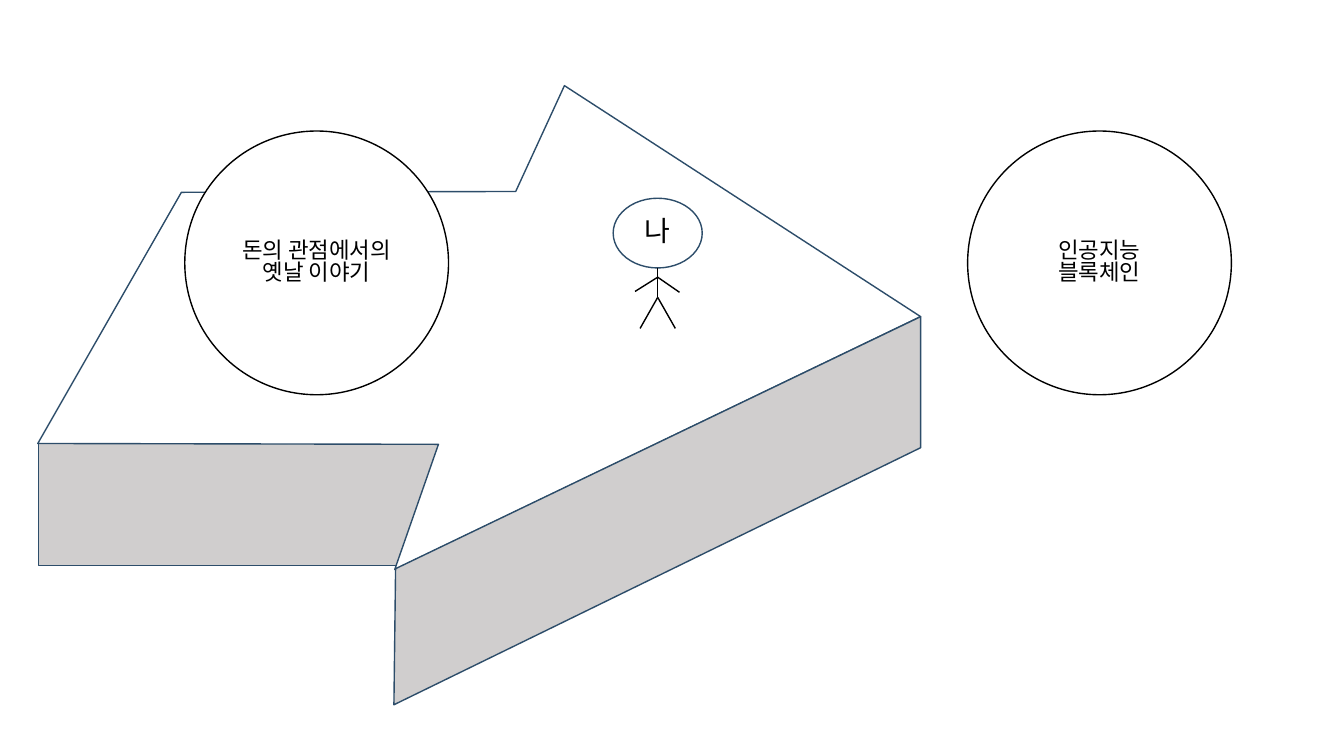
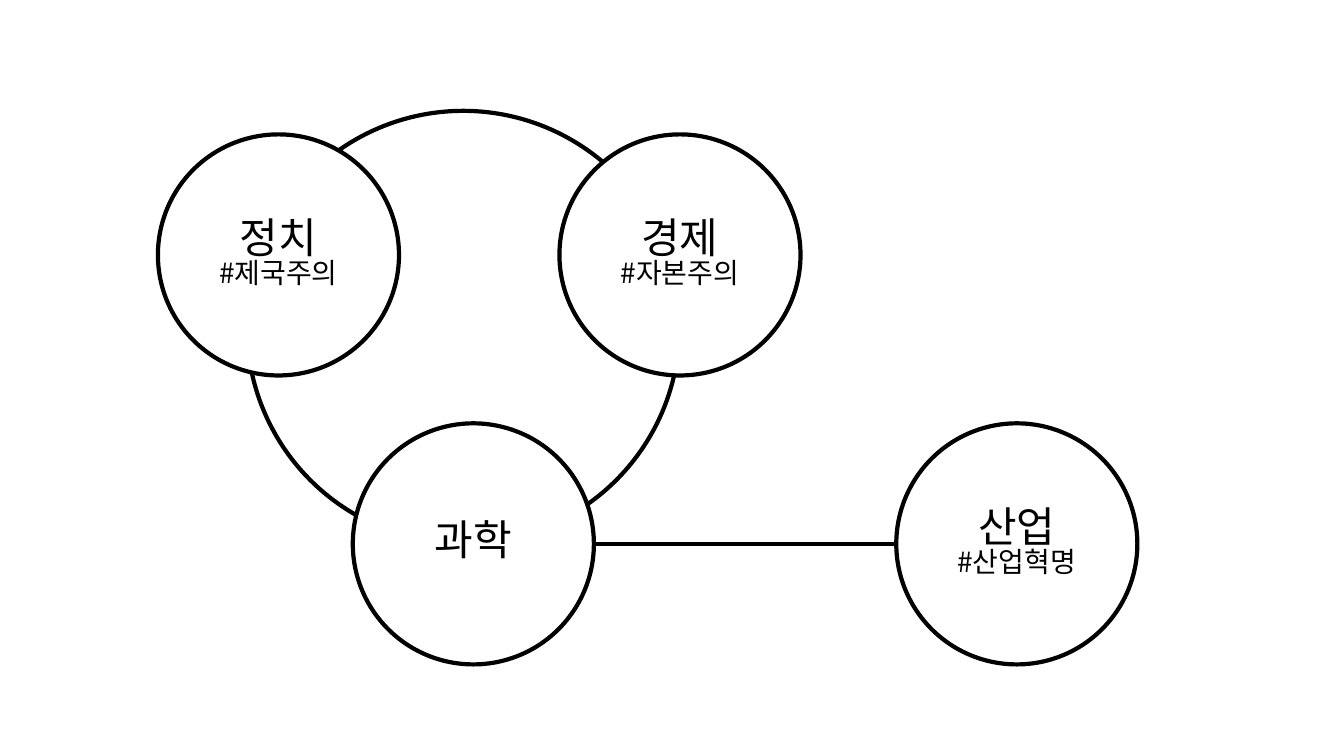
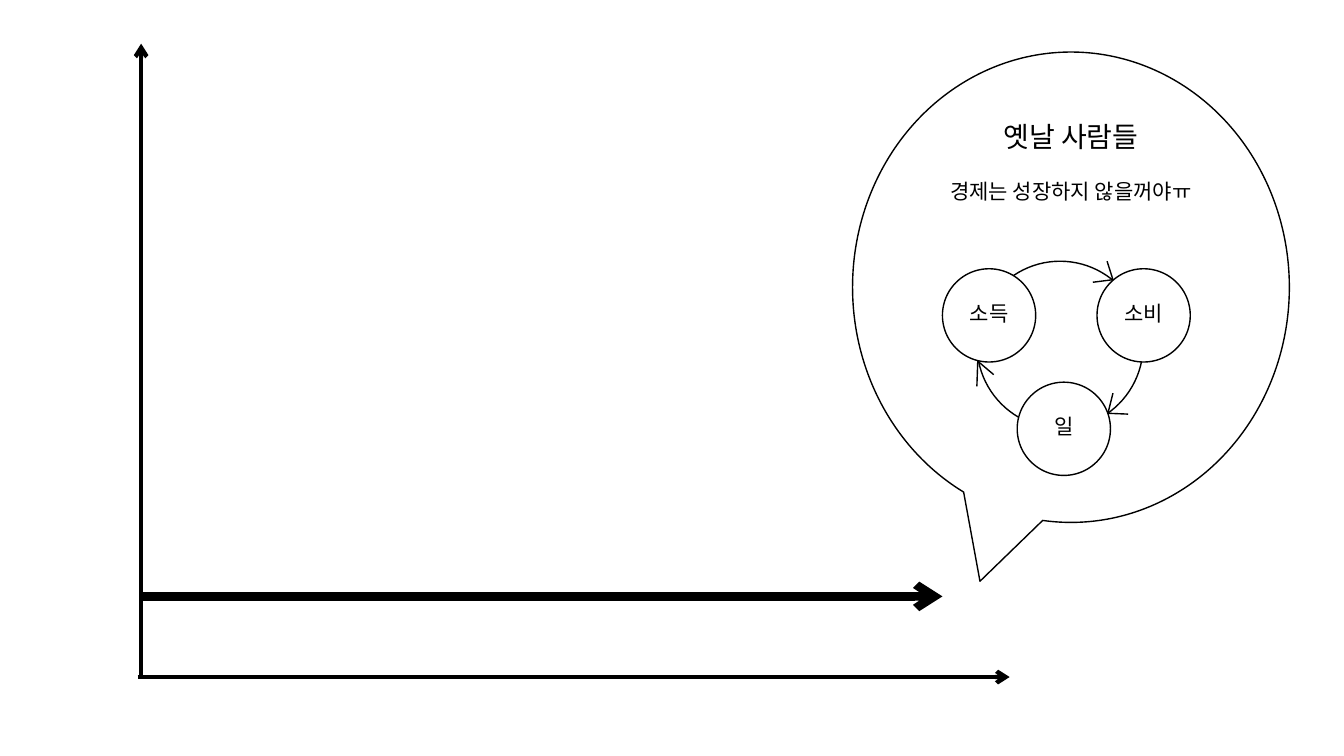
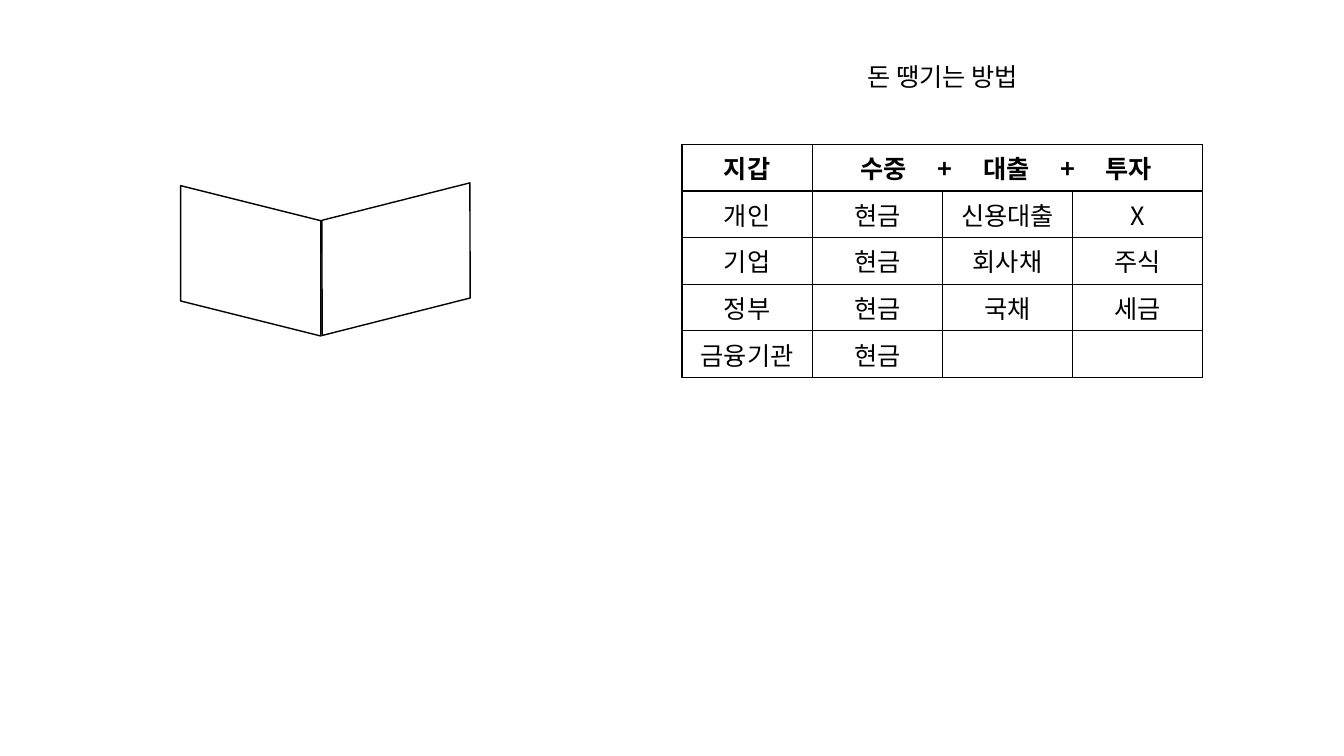
from dataclasses import dataclass
from typing import Optional

import lxml.etree
import pptx
import pptx.dml.color
import pptx.enum.shapes
import pptx.enum.text
import pptx.oxml
import pptx.oxml.ns
import pptx.util

# Grid of square cells, 16 columns by 9 rows
COLUMNS, ROWS = 16, 9
CELL = pptx.util.Emu(762000)

# Shared style
FONT = "Noto Sans CJK KR"
BLACK, WHITE, GRAY, NAVY = "000000", "FFFFFF", "D0CECE", "2D4D6A"
THIN, THICK, HEAVY = 1, 3, 6
LINE_SPACING = 0.8

PRESET = pptx.enum.shapes.MSO_SHAPE
Point = tuple[float, float]


@dataclass(frozen=True)
class Line:
    """One paragraph of text."""
    text: str
    size: float
    bold: bool = False
    space_before: float = 0


@dataclass(frozen=True)
class Figure:
    """A preset shape placed on the grid."""
    left: float
    top: float
    width: float
    height: float
    lines: tuple[Line, ...] = ()
    fill: Optional[str] = WHITE
    outline: str = BLACK
    weight: float = THIN
    preset: PRESET = PRESET.OVAL
    rotation: float = 0
    anchor: pptx.enum.text.MSO_ANCHOR = pptx.enum.text.MSO_ANCHOR.MIDDLE


@dataclass(frozen=True)
class Stroke:
    """A straight line between two grid points."""
    start: Point
    end: Point
    weight: float = THIN
    arrow: bool = False


def cells(count: float) -> pptx.util.Emu:
    return pptx.util.Emu(round(count * CELL))


def color(code: str) -> pptx.dml.color.RGBColor:
    return pptx.dml.color.RGBColor.from_string(code)


def add_child(parent, tag: str, **attributes: str):
    child = lxml.etree.SubElement(parent, pptx.oxml.ns.qn(tag))
    for name, value in attributes.items():
        child.set(name, value)
    return child


def format_paragraph(paragraph, line: Line) -> None:
    paragraph.text = line.text
    paragraph.alignment = pptx.enum.text.PP_ALIGN.CENTER
    for run in paragraph.runs:
        run.font.name = FONT
        run.font.size = pptx.util.Pt(line.size)
        run.font.bold = line.bold
        run.font.color.rgb = color(BLACK)
        add_child(run.font._element, "a:ea", typeface=FONT)


def write_lines(text_frame, lines: tuple[Line, ...]) -> None:
    text_frame.word_wrap = True
    text_frame.text = "\n".join(line.text for line in lines)
    for paragraph, line in zip(text_frame.paragraphs, lines):
        format_paragraph(paragraph, line)
        paragraph.line_spacing = LINE_SPACING
        paragraph.space_before = pptx.util.Pt(line.space_before)


def style_shape(shape, fill: Optional[str], outline: str, weight: float) -> None:
    shape.shadow.inherit = False
    if fill is None:
        shape.fill.background()
    else:
        shape.fill.solid()
        shape.fill.fore_color.rgb = color(fill)
    shape.line.color.rgb = color(outline)
    shape.line.width = pptx.util.Pt(weight)


def draw_figure(slide, figure: Figure) -> None:
    shape = slide.shapes.add_shape(
        figure.preset, cells(figure.left), cells(figure.top),
        cells(figure.width), cells(figure.height))
    style_shape(shape, figure.fill, figure.outline, figure.weight)
    shape.rotation = figure.rotation
    if figure.lines:
        write_lines(shape.text_frame, figure.lines)
        shape.text_frame.vertical_anchor = figure.anchor


def draw_polygon(slide, points: list[Point], fill: str) -> None:
    corners = [(cells(x), cells(y)) for x, y in points]
    builder = slide.shapes.build_freeform(*corners[0])
    builder.add_line_segments(corners[1:], close=True)
    style_shape(builder.convert_to_shape(), fill, NAVY, THIN)


def draw_stroke(slide, stroke: Stroke) -> None:
    connector = slide.shapes.add_connector(
        pptx.enum.shapes.MSO_CONNECTOR.STRAIGHT,
        *map(cells, stroke.start + stroke.end))
    connector.line.color.rgb = color(BLACK)
    connector.line.width = pptx.util.Pt(stroke.weight)
    if stroke.arrow:
        add_child(connector.line._get_or_add_ln(), "a:tailEnd", type="arrow")
    add_child(connector._element.spPr, "a:effectLst")


def circle(left: float, top: float, size: float, *lines: Line,
           weight: float = THIN) -> Figure:
    return Figure(left, top, size, size, lines, weight=weight)


def border_cell(cell) -> None:
    properties = cell._tc.get_or_add_tcPr()
    for side in ("a:lnL", "a:lnR", "a:lnT", "a:lnB"):
        border = add_child(properties, side, w=str(pptx.util.Pt(THIN)))
        add_child(add_child(border, "a:solidFill"), "a:srgbClr", val=BLACK)
    cell.fill.background()


def build_arrow_slide(slide) -> None:
    # Block arrow: shaft front, top face, head side
    draw_figure(slide, Figure(0.46, 5.28, 4.84, 1.45, fill=GRAY, outline=NAVY,
                              preset=PRESET.RECTANGLE))
    draw_polygon(slide, [(6.14, 2.28), (2.16, 2.29), (0.45, 5.28), (5.22, 5.29),
                         (4.7, 6.78), (10.96, 3.77), (6.72, 1.02)], WHITE)
    draw_polygon(slide, [(4.69, 8.39), (10.96, 5.33), (10.96, 3.77),
                         (4.71, 6.77)], GRAY)
    # Stick figure
    draw_figure(slide, Figure(7.3, 2.36, 1.06, 0.83, (Line("나", 20),),
                              outline=NAVY))
    neck, shoulder, hip = (7.83, 3.19), (7.83, 3.3), (7.83, 3.54)
    for start, end in ((neck, hip), (hip, (8.04, 3.91)), (hip, (7.62, 3.91)),
                       (shoulder, (8.09, 3.48)), (shoulder, (7.56, 3.47))):
        draw_stroke(slide, Stroke(start, end))
    # Past and future
    for left, texts in ((2.2, ("돈의 관점에서의", "옛날 이야기")),
                        (11.52, ("인공지능", "블록체인"))):
        lines = [Line(text, 16) for text in texts]
        draw_figure(slide, circle(left, 1.56, 3.14, *lines))


def build_fields_slide(slide) -> None:
    draw_figure(slide, Figure(2.94, 1.32, 5.15, 5.15, fill=None, weight=THICK))
    for left, top, field, tag in ((1.88, 1.6, "정치", "#제국주의"),
                                  (6.66, 1.6, "경제", "#자본주의"),
                                  (4.2, 5.04, "과학", ""),
                                  (10.67, 5.04, "산업", "#산업혁명")):
        lines = [Line(field, 30)] + ([Line(tag, 20)] if tag else [])
        draw_figure(slide, circle(left, top, 2.87, *lines, weight=THICK))
    draw_stroke(slide, Stroke((7.07, 6.48), (10.67, 6.48), THICK))


def build_growth_slide(slide) -> None:
    # Axes and flat growth
    for stroke in (Stroke((1.68, 8.05), (1.68, 0.52), THICK, True),
                   Stroke((1.64, 8.06), (12.02, 8.06), THICK, True),
                   Stroke((1.68, 7.1), (11.22, 7.1), HEAVY, True)):
        draw_stroke(slide, stroke)
    # Speech balloon
    speech = (Line("옛날 사람들", 20),
              Line("경제는 성장하지 않을꺼야ㅠ", 15, space_before=22))
    draw_figure(slide, Figure(10.15, 0.62, 5.2, 5.6, speech, fill=None,
                              preset=PRESET.OVAL_CALLOUT,
                              anchor=pptx.enum.text.MSO_ANCHOR.TOP))
    # Cycle with open arrowheads
    for tip, barbs in (((13.25, 3.33), ((13.18, 3.11), (13.01, 3.36))),
                       ((13.19, 4.92), ((13.43, 4.93), (13.25, 4.68))),
                       ((11.64, 4.3), ((11.63, 4.6), (11.83, 4.46)))):
        for barb in barbs:
            draw_stroke(slide, Stroke(tip, barb))
    draw_figure(slide, Figure(11.63, 3.11, 1.98, 1.99, fill=None))
    for left, top, text in ((11.22, 3.2, "소득"), (13.06, 3.2, "소비"),
                            (12.11, 4.55, "일")):
        draw_figure(slide, circle(left, top, 1.11, Line(text, 15)))


def build_wallet_slide(slide) -> None:
    # Funding table
    rows = (("지갑", "\t수중\t+\t대출\t+\t투자", "", ""),
            ("개인", "현금", "신용대출", "X"),
            ("기업", "현금", "회사채", "주식"),
            ("정부", "현금", "국채", "세금"),
            ("금융기관", "현금", "", ""))
    column_width, row_height = 1.55, 0.55
    table = slide.shapes.add_table(
        len(rows), len(rows[0]), cells(8.12), cells(1.72),
        cells(column_width * len(rows[0])), cells(row_height * len(rows))).table
    for row_index, row in enumerate(rows):
        for column_index, text in enumerate(row):
            cell = table.cell(row_index, column_index)
            border_cell(cell)
            format_paragraph(cell.text_frame.paragraphs[0],
                             Line(text, 18, bold=row_index == 0))
    # Merged heading: terms centred on evenly spaced tab stops
    heading = table.cell(0, 1)
    heading.merge(table.cell(0, 3))
    paragraph = heading.text_frame.paragraphs[0]
    paragraph.alignment = pptx.enum.text.PP_ALIGN.LEFT
    tab_list = add_child(paragraph._p.get_or_add_pPr(), "a:tabLst")
    for stop in range(1, 6):
        add_child(tab_list, "a:tab", pos=str(cells(0.73 * stop)), algn="ctr")
    # Table title
    box = slide.shapes.add_textbox(cells(9.94), cells(0.53), cells(2.57), cells(0.83))
    write_lines(box.text_frame, (Line("돈 땡기는 방법", 18),))
    box.text_frame.vertical_anchor = pptx.enum.text.MSO_ANCHOR.MIDDLE
    # Open wallet
    for left, top, width, height, rotation in ((3.64, 2.42, 2.15, 1.33, 345.8),
                                               (2.09, 2.27, 1.79, 1.67, 270)):
        draw_figure(slide, Figure(left, top, width, height, fill=None,
                                  preset=PRESET.PARALLELOGRAM, rotation=rotation))


def main() -> None:
    presentation = pptx.Presentation()
    presentation.slide_width = cells(COLUMNS)
    presentation.slide_height = cells(ROWS)
    blank = presentation.slide_layouts[6]
    for build in (build_arrow_slide, build_fields_slide,
                  build_growth_slide, build_wallet_slide):
        build(presentation.slides.add_slide(blank))
    presentation.save("out.pptx")


if __name__ == "__main__":
    main()
